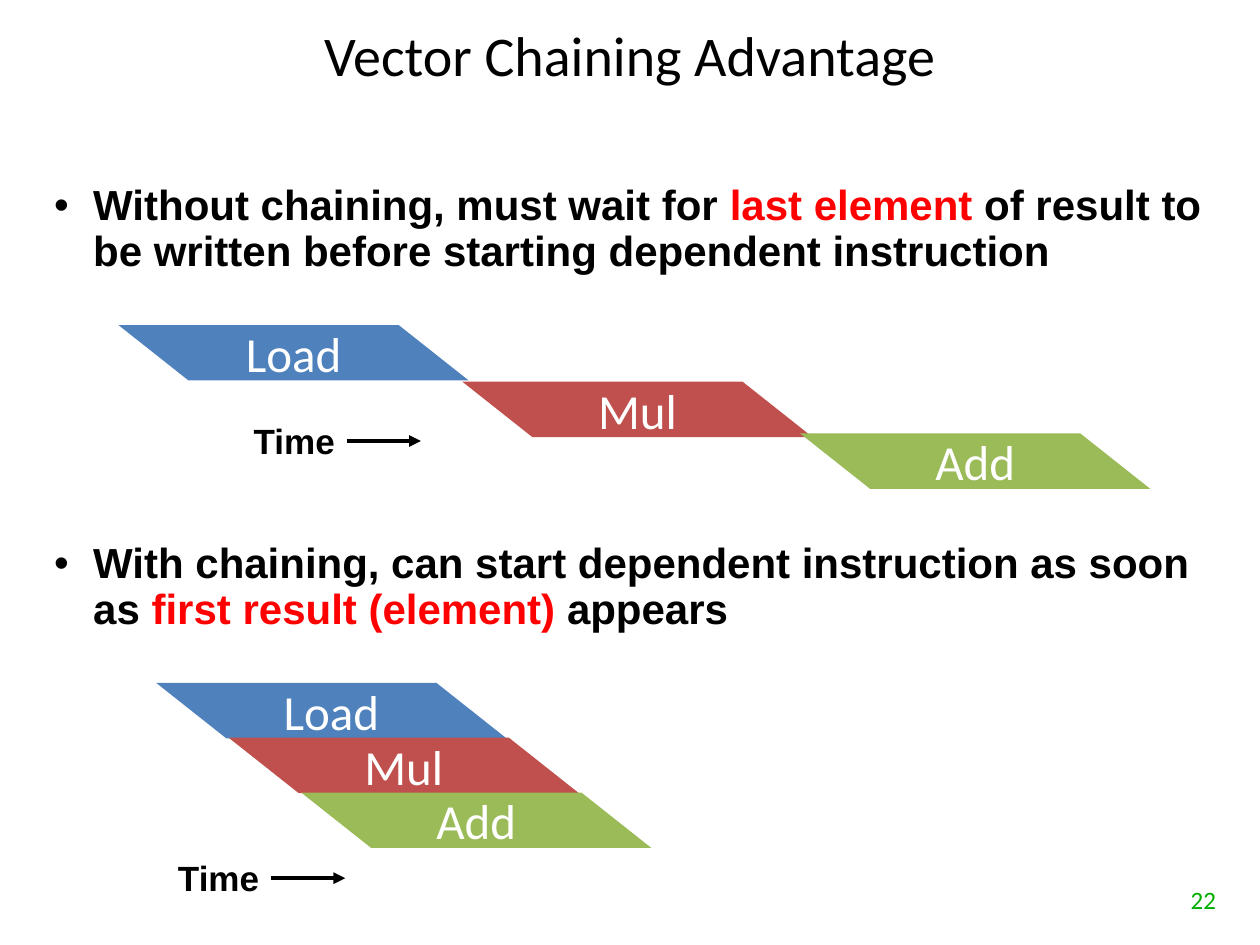
from lxml import etree
from pptx import Presentation
from pptx.dml.color import RGBColor
from pptx.enum.shapes import MSO_CONNECTOR, MSO_SHAPE
from pptx.enum.text import MSO_ANCHOR, MSO_AUTO_SIZE, PP_ALIGN
from pptx.oxml.ns import qn
from pptx.util import Inches, Pt

STRAIGHT = MSO_CONNECTOR.STRAIGHT
PARALLELOGRAM = MSO_SHAPE.FLOWCHART_DATA
MIDDLE = MSO_ANCHOR.MIDDLE
NO_AUTOFIT = MSO_AUTO_SIZE.NONE
CENTER, LEFT, RIGHT = PP_ALIGN.CENTER, PP_ALIGN.LEFT, PP_ALIGN.RIGHT

COLORS = {
    "black": "000000", "white": "FFFFFF", "red": "FF0000", "number": "00AE00",
    "Load": "4F81BD", "Mul": "C0504D", "Add": "9BBB59",
}
UNCHAINED_STAGES = {"Load": (0.94, 2.58), "Mul": (3.67, 3.03), "Add": (6.35, 3.44)}
CHAINED_STAGES = {
    name: (1.24 + 0.575 * step, 5.42 + 0.435 * step)
    for step, name in enumerate(UNCHAINED_STAGES)
}


def color(name):
    return RGBColor.from_string(COLORS[name])


def place(shape, left, top, width, height):
    shape.left, shape.top = Inches(left), Inches(top)
    shape.width, shape.height = Inches(width), Inches(height)


def prepare_frame(shape, wrap=True):
    frame = shape.text_frame
    frame.word_wrap = wrap
    frame.auto_size = NO_AUTOFIT
    frame.vertical_anchor = MIDDLE
    return frame


def format_paragraph(paragraph, font_name, size, color_name, alignment, bold=False):
    paragraph.alignment = alignment
    paragraph.space_before = Pt(0)
    font = paragraph.font
    font.name, font.size, font.bold = font_name, Pt(size), bold
    font.color.rgb = color(color_name)


def set_title(slide, text):
    title = slide.shapes.title
    place(title, 1, 0.11, 8, 0.64)
    frame = prepare_frame(title)
    frame.text = text
    format_paragraph(frame.paragraphs[0], "Calibri", 32, "black", CENTER)


def set_bullet(placeholder, top, before, highlight, after):
    place(placeholder, 0.33, top, 9.33, 0.83)
    paragraph = prepare_frame(placeholder).paragraphs[0]
    for text, color_name in ((before, "black"), (highlight, "red"), (after, "black")):
        run = paragraph.add_run()
        run.text = text
        run.font.color.rgb = color(color_name)
    paragraph.line_spacing = 0.9
    properties = paragraph._p.get_or_add_pPr()
    properties.set("marL", str(Inches(0.31)))
    properties.set("indent", str(-Inches(0.31)))
    etree.SubElement(properties, qn("a:buChar"), char="•")
    format_paragraph(paragraph, "Arial", 24, "black", LEFT, bold=True)


def add_stage(slide, name, left, top):
    stage = slide.shapes.add_shape(
        PARALLELOGRAM, Inches(left), Inches(top), Inches(2.78), Inches(0.44))
    stage._element.spPr.find(qn("a:xfrm")).set("flipH", "1")
    stage.shadow.inherit = False
    stage.fill.solid()
    stage.fill.fore_color.rgb = color(name)
    stage.line.fill.background()
    frame = prepare_frame(stage)
    frame.text = name
    format_paragraph(frame.paragraphs[0], "Calibri", 28, "white", CENTER)


def add_label(shapes, text, box, wrap, *text_format, **options):
    label = shapes.add_textbox(*(Inches(value) for value in box))
    frame = prepare_frame(label, wrap)
    frame.text = text
    format_paragraph(frame.paragraphs[0], *text_format, **options)


def add_time_arrow(slide, left, top):
    group = slide.shapes.add_group_shape()
    start, middle = left + 0.84, top + 0.22
    arrow = group.shapes.add_connector(
        STRAIGHT, Inches(start), Inches(middle), Inches(start + 0.59), Inches(middle))
    arrow.line.width = Pt(2.25)
    arrow.line.color.rgb = color("black")
    etree.SubElement(arrow.line._get_or_add_ln(), qn("a:tailEnd"), type="triangle")
    etree.SubElement(arrow._element.spPr, qn("a:effectLst"))
    add_label(group.shapes, "Time", (left, top, 0.85, 0.43), False,
              "Arial", 20, "black", CENTER, bold=True)


def main():
    presentation = Presentation()
    presentation.slide_width, presentation.slide_height = Inches(10), Inches(7.5)
    slide = presentation.slides.add_slide(presentation.slide_layouts[3])

    set_title(slide, "Vector Chaining Advantage")
    set_bullet(slide.placeholders[1], 1.41, "Without chaining, must wait for ",
               "last element ",
               "of result to be written before starting dependent instruction")
    set_bullet(slide.placeholders[2], 4.25,
               "With chaining, can start dependent instruction as soon as ",
               "first result (element) ", "appears")

    for stages in (UNCHAINED_STAGES, CHAINED_STAGES):
        for name, (left, top) in stages.items():
            add_stage(slide, name, left, top)
    add_time_arrow(slide, 1.91, 3.28)
    add_time_arrow(slide, 1.31, 6.75)
    add_label(slide.shapes, "22", (7.42, 6.94, 2.33, 0.4), True,
              "Calibri", 14.3, "number", RIGHT)

    presentation.save("out.pptx")


if __name__ == "__main__":
    main()
